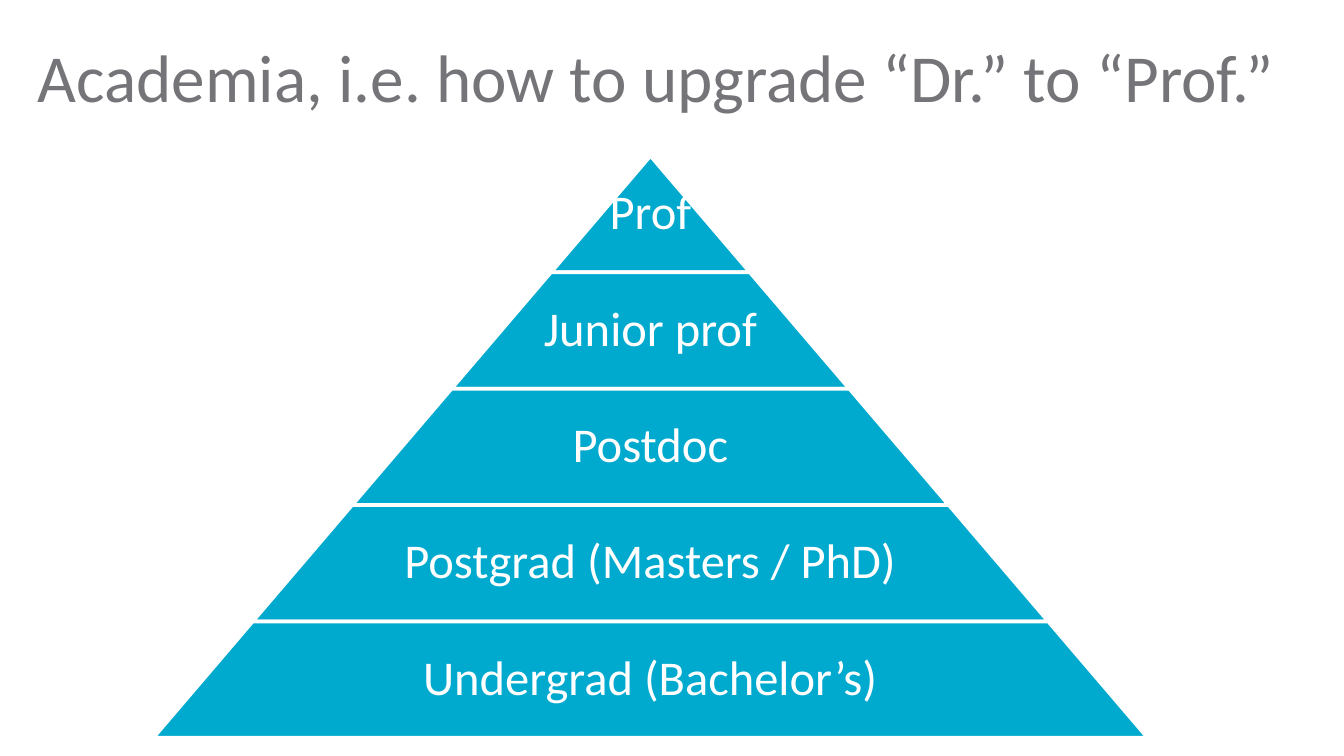
from pptx import Presentation
from pptx.dml.color import RGBColor
from pptx.enum.shapes import MSO_SHAPE
from pptx.enum.text import MSO_ANCHOR, PP_ALIGN
from pptx.util import Inches, Pt

TRAPEZOID = MSO_SHAPE.TRAPEZOID
MIDDLE, TOP = MSO_ANCHOR.MIDDLE, MSO_ANCHOR.TOP
CENTER, LEFT = PP_ALIGN.CENTER, PP_ALIGN.LEFT

GREY = RGBColor(0x75, 0x75, 0x79)
CYAN = RGBColor(0x00, 0xA9, 0xCE)
WHITE = RGBColor(0xFF, 0xFF, 0xFF)
FONT = "Calibri"

SLIDE_W = Inches(10)
SLIDE_H = SLIDE_W * 9 // 16
TITLE = "Academia, i.e. how to upgrade “Dr.” to “Prof.”"
CAREER_STAGES = [
    "Prof",
    "Junior prof",
    "Postdoc",
    "Postgrad (Masters / PhD)",
    "Undergrad (Bachelor’s)",
]
LABEL_SHARE = 0.65  # label width as a share of its tier


def add_text(slide, box, text, size, color, align, anchor, inset=0):
    frame = slide.shapes.add_textbox(*map(int, box)).text_frame
    frame.word_wrap = True
    frame.vertical_anchor = anchor
    frame.margin_left = frame.margin_right = Inches(inset)
    frame.margin_top = frame.margin_bottom = Inches(inset)
    paragraph = frame.paragraphs[0]
    paragraph.text = text
    paragraph.alignment = align
    paragraph.font.name = FONT
    paragraph.font.size = Pt(size)
    paragraph.font.color.rgb = color
    return paragraph


def add_title(slide, box):
    add_text(slide, box, TITLE, 36, GREY, LEFT, TOP)


def add_pyramid(slide, box, stages):
    """Stack one equally high tier per stage, narrowest at the top."""
    left, top, width, height = box
    tier_h = height / len(stages)
    slope = width / 2 / height
    for row, stage in enumerate(stages):
        tier_w = width * (row + 1) / len(stages)
        tier_left = left + (width - tier_w) / 2
        tier_top = top + row * tier_h
        tier = slide.shapes.add_shape(
            TRAPEZOID, int(tier_left), int(tier_top), int(tier_w), int(tier_h))
        tier.adjustments[0] = slope
        tier.shadow.inherit = False
        tier.fill.solid()
        tier.fill.fore_color.rgb = CYAN
        tier.line.color.rgb = WHITE
        tier.line.width = Pt(2)

        label_w = tier_w if row == 0 else tier_w * LABEL_SHARE
        label_box = (left + (width - label_w) / 2, tier_top, label_w, tier_h)
        label = add_text(slide, label_box, stage, 26, WHITE, CENTER, MIDDLE, 0.04)
        label.line_spacing = 0.9


def main():
    prs = Presentation()
    prs.slide_width, prs.slide_height = SLIDE_W, SLIDE_H
    slide = prs.slides.add_slide(prs.slide_layouts[6])
    add_title(slide, (Inches(0.28), Inches(0.26), Inches(9.45), Inches(0.7)))
    add_pyramid(slide, (Inches(1.14), Inches(1.16), Inches(7.4), Inches(4.33)),
                CAREER_STAGES)
    prs.save("out.pptx")


if __name__ == "__main__":
    main()
